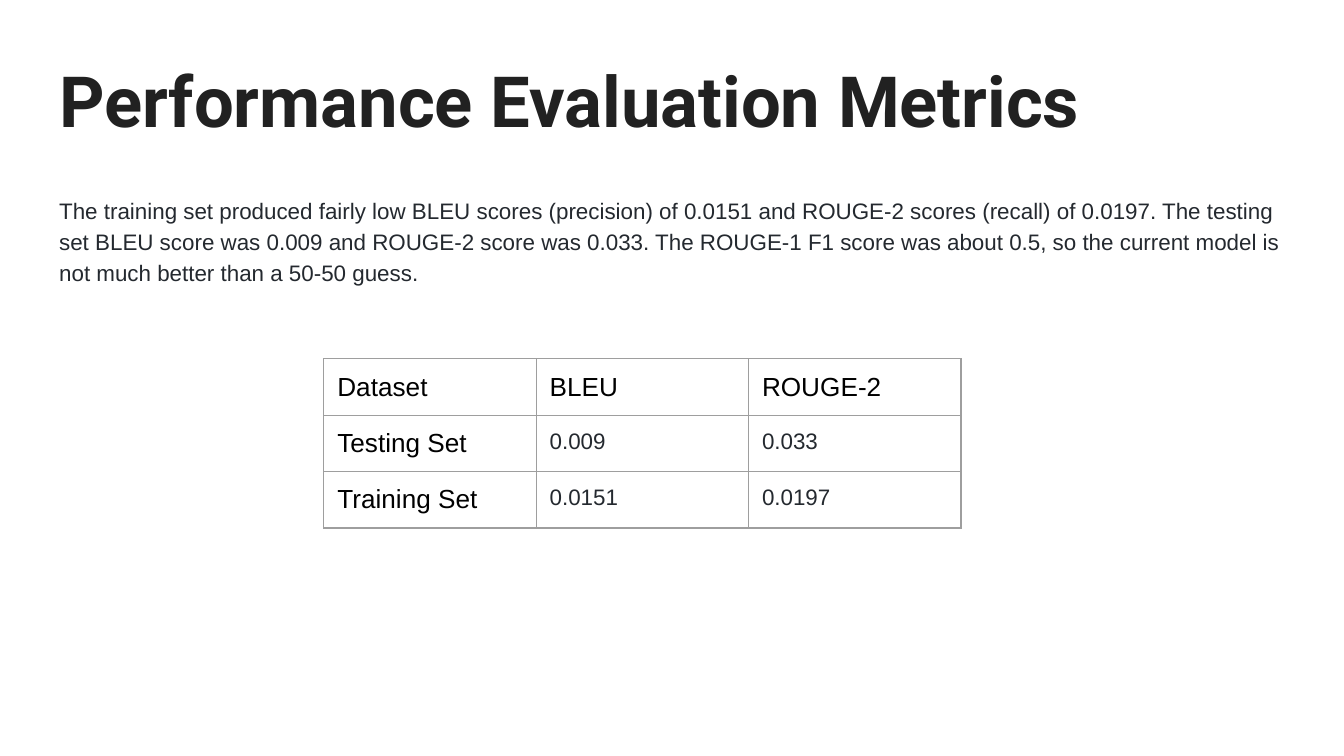
from dataclasses import dataclass

from lxml import etree
from pptx import Presentation
from pptx.dml.color import RGBColor
from pptx.enum.text import MSO_ANCHOR, MSO_AUTO_SIZE, PP_ALIGN
from pptx.oxml.ns import qn
from pptx.util import Inches, Pt

TOP = MSO_ANCHOR.TOP
MIDDLE = MSO_ANCHOR.MIDDLE
LEFT = PP_ALIGN.LEFT
NO_AUTOFIT = MSO_AUTO_SIZE.NONE
TITLE_AND_CONTENT = 1


@dataclass(frozen=True)
class Theme:
    title_font: str = "Roboto"
    text_font: str = "Arial"
    title_color: str = "212121"
    body_color: str = "24292F"
    label_color: str = "000000"
    border_color: str = "9E9E9E"
    title_size: float = 37.8
    label_size: float = 14
    body_size: float = 12
    border_width: float = 0.75
    inset: float = 0.1


THEME = Theme()
SLIDE_WIDTH = 10
SLIDE_HEIGHT = SLIDE_WIDTH * 9 / 16
MARGIN = 0.34
BLOCK_WIDTH = SLIDE_WIDTH - 2 * MARGIN
BLOCK_HEIGHT = 0.88
TITLE_TOP, BODY_TOP = 0.3, 1.34
TABLE_LEFT, TABLE_TOP = 2.41, 2.67
COLUMN_WIDTH, ROW_HEIGHT = 1.58, 0.42

TITLE = "Performance Evaluation Metrics"
SUMMARY = (
    "The training set produced fairly low BLEU scores (precision) of 0.0151 "
    "and ROUGE-2 scores (recall) of 0.0197. The testing set BLEU score was 0.009 "
    "and ROUGE-2 score was 0.033. The ROUGE-1 F1 score was about 0.5, so the "
    "current model is not much better than a 50-50 guess."
)
SCORES = [
    ["Dataset", "BLEU", "ROUGE-2"],
    ["Testing Set", "0.009", "0.033"],
    ["Training Set", "0.0151", "0.0197"],
]


def style_font(paragraph, name, size, color, bold=False):
    font = paragraph.font
    font.name = name
    font.size = Pt(size)
    font.bold = bold
    font.color.rgb = RGBColor.from_string(color)


def set_insets(target):
    target.margin_left = target.margin_right = Inches(THEME.inset)
    target.margin_top = target.margin_bottom = Inches(THEME.inset)


def fill_placeholder(shape, top, text, anchor):
    shape.left, shape.top = Inches(MARGIN), Inches(top)
    shape.width, shape.height = Inches(BLOCK_WIDTH), Inches(BLOCK_HEIGHT)
    frame = shape.text_frame
    frame.text = text
    frame.word_wrap = True
    frame.auto_size = NO_AUTOFIT
    frame.vertical_anchor = anchor
    set_insets(frame)
    paragraph = frame.paragraphs[0]
    paragraph.alignment = LEFT
    paragraph.space_before = Pt(0)
    return paragraph


def add_title(slide):
    paragraph = fill_placeholder(slide.shapes.title, TITLE_TOP, TITLE, MIDDLE)
    style_font(paragraph, THEME.title_font, THEME.title_size, THEME.title_color, True)


def add_summary(slide):
    paragraph = fill_placeholder(slide.placeholders[1], BODY_TOP, SUMMARY, TOP)
    paragraph.line_spacing = 1.15
    paragraph.space_after = Pt(12)
    style_font(paragraph, THEME.text_font, THEME.body_size, THEME.body_color)
    properties = paragraph._p.get_or_add_pPr()
    properties.set("marL", "0")
    properties.set("indent", "0")
    properties.insert_element_before(
        properties.makeelement(qn("a:buNone"), {}), "a:tabLst", "a:defRPr", "a:extLst"
    )


def add_borders(cell):
    properties = cell._tc.get_or_add_tcPr()
    for index, side in enumerate(("a:lnL", "a:lnR", "a:lnT", "a:lnB")):
        line = properties.makeelement(qn(side), {"w": str(Pt(THEME.border_width))})
        fill = etree.SubElement(line, qn("a:solidFill"))
        etree.SubElement(fill, qn("a:srgbClr"), val=THEME.border_color)
        properties.insert(index, line)


def fill_cell(cell, text, is_label):
    cell.text = text
    cell.vertical_anchor = TOP
    set_insets(cell)
    cell.fill.background()
    add_borders(cell)
    size = THEME.label_size if is_label else THEME.body_size
    color = THEME.label_color if is_label else THEME.body_color
    style_font(cell.text_frame.paragraphs[0], THEME.text_font, size, color)


def add_score_table(slide):
    row_count, column_count = len(SCORES), len(SCORES[0])
    table = slide.shapes.add_table(
        row_count,
        column_count,
        Inches(TABLE_LEFT),
        Inches(TABLE_TOP),
        Inches(COLUMN_WIDTH * column_count),
        Inches(ROW_HEIGHT * row_count),
    ).table
    table.first_row = False
    table.horz_banding = False
    for row, values in enumerate(SCORES):
        for column, value in enumerate(values):
            fill_cell(table.cell(row, column), value, row == 0 or column == 0)


def main():
    presentation = Presentation()
    presentation.slide_width = Inches(SLIDE_WIDTH)
    presentation.slide_height = Inches(SLIDE_HEIGHT)
    slide = presentation.slides.add_slide(presentation.slide_layouts[TITLE_AND_CONTENT])
    add_title(slide)
    add_score_table(slide)
    add_summary(slide)
    presentation.save("out.pptx")


if __name__ == "__main__":
    main()
